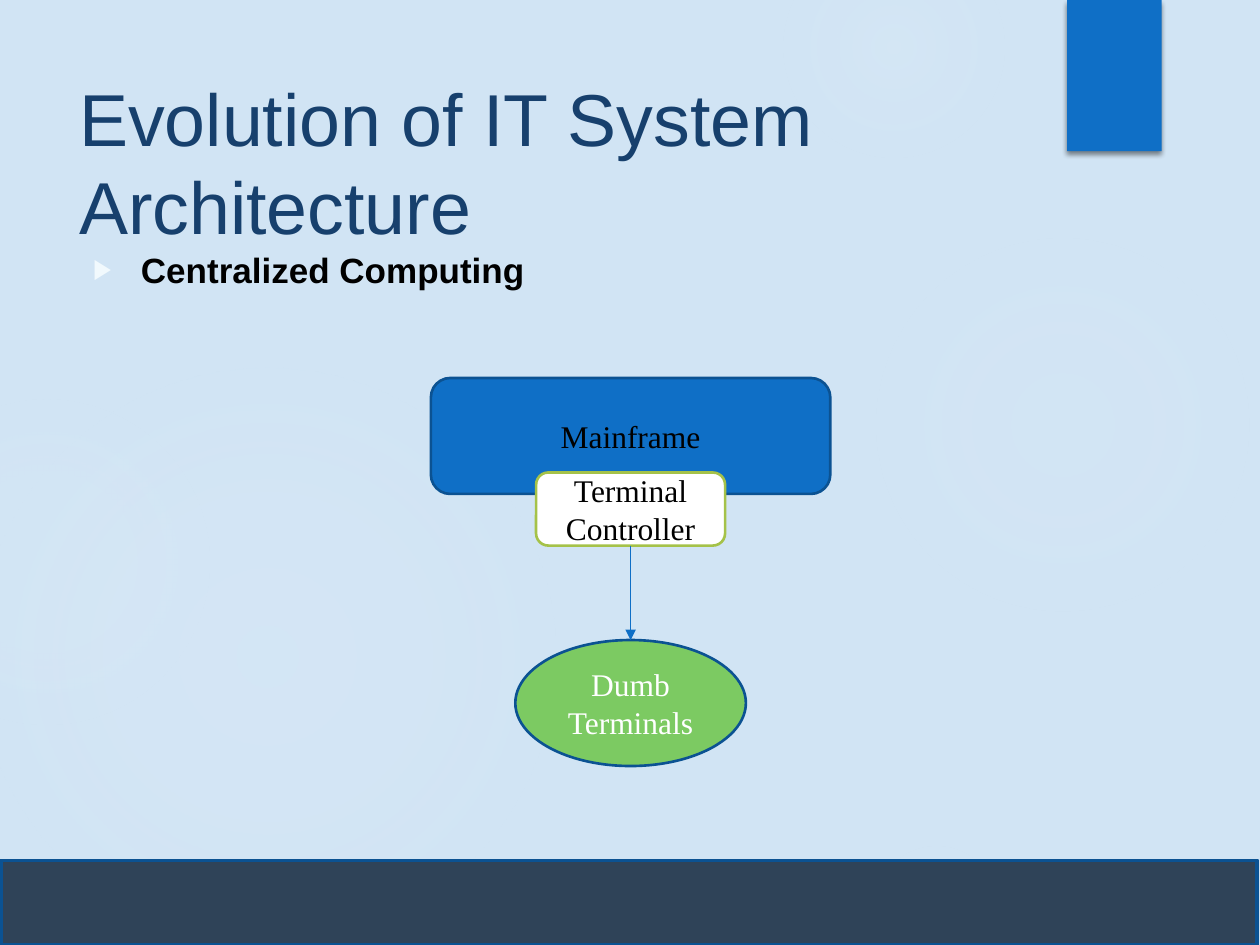
from dataclasses import dataclass

from lxml import etree
from pptx import Presentation
from pptx.dml.color import RGBColor
from pptx.enum.shapes import MSO_CONNECTOR, MSO_SHAPE
from pptx.enum.text import MSO_ANCHOR, PP_ALIGN
from pptx.oxml import parse_xml
from pptx.oxml.ns import nsdecls, qn
from pptx.util import Inches, Pt

RECT, ROUND, OVAL = MSO_SHAPE.RECTANGLE, MSO_SHAPE.ROUNDED_RECTANGLE, MSO_SHAPE.OVAL
STRAIGHT = MSO_CONNECTOR.STRAIGHT
TOP, MIDDLE, BOTTOM = MSO_ANCHOR.TOP, MSO_ANCHOR.MIDDLE, MSO_ANCHOR.BOTTOM
LEFT, CENTER = PP_ALIGN.LEFT, PP_ALIGN.CENTER


@dataclass(frozen=True)
class Theme:
    """Colours, fonts and type sizes of the slide."""

    page: str = "D1E4F4"
    blue: str = "0F6FC6"
    outline: str = "0B5292"
    bar: str = "0C2036"
    glow: str = "E9F5FB"
    title: str = "17406D"
    bullet: str = "F1F9FD"
    lime: str = "A5C249"
    green: str = "7CCA62"
    black: str = "000000"
    white: str = "FFFFFF"
    sans: str = "Arial"
    serif: str = "Times New Roman"
    title_size: int = 42
    body_size: int = 20
    label_size: int = 18


THEME = Theme()


def rgb(code):
    """Turn a hex code into a colour."""
    return RGBColor.from_string(code)


def add_xml(parent, markup):
    """Append DrawingML markup to an element."""
    parent.append(parse_xml(markup.replace(">", f" {nsdecls('a')}>", 1)))


def write(shape, text, size, font, colour, bold=False, align=LEFT, anchor=TOP):
    """Write one paragraph into a shape and return it."""
    frame = shape.text_frame
    para = frame.paragraphs[0]
    span = para.add_run()
    span.text = text
    span.font.color.rgb = rgb(colour)
    formats = (
        (frame, {"word_wrap": True, "vertical_anchor": anchor}),
        (para, {"alignment": align}),
        (span.font, {"size": Pt(size), "name": font, "bold": bold}),
    )
    for target, values in formats:
        for name, value in values.items():
            setattr(target, name, value)
    return para


def add_block(page, kind, box, fill, line=None, width=1.5):
    """Add a flat filled shape with an optional outline."""
    shape = page.shapes.add_shape(kind, *map(Inches, box))
    shape.shadow.inherit = False
    shape.fill.solid()
    shape.fill.fore_color.rgb = rgb(fill)
    if line:
        shape.line.color.rgb = rgb(line)
        shape.line.width = Pt(width)
    else:
        shape.line.fill.background()
    return shape


def add_glow(page, box, stops):
    """Add a circle that fades out from its centre."""
    shape = add_block(page, OVAL, box, THEME.glow)
    marks = "".join(
        f'<a:gs pos="{place * 1000}"><a:srgbClr val="{THEME.glow}">'
        f'<a:alpha val="{alpha * 1000}"/></a:srgbClr></a:gs>'
        for place, alpha in stops
    )
    solid = shape.fill.fore_color and shape.element.spPr.find(qn("a:solidFill"))
    gradient = parse_xml(
        f'<a:gradFill {nsdecls("a")}><a:gsLst>{marks}</a:gsLst><a:path path="circle">'
        '<a:fillToRect l="50000" t="50000" r="50000" b="50000"/></a:path></a:gradFill>'
    )
    shape.element.spPr.replace(solid, gradient)


def add_backdrop(page):
    """Paint the background, its glows, the ribbon and the bottom bar."""
    page.background.fill.solid()
    page.background.fill.fore_color.rgb = rgb(THEME.page)
    glows = (
        (6.89, 1.83, 3.08, 7, 6, 69),
        (6.22, -0.5, 1.75, 14, 7, 73),
        (6.89, 6.67, 1.08, 9, 5, 66),
        (-0.17, 2.92, 4.58, 11, 10, 75),
        (-0.92, 3.17, 2.58, 8, 8, 72),
    )
    for left, top, size, inner, middle, edge in glows:
        add_glow(page, (left, top, size, size), ((0, inner), (36, middle), (edge, 0)))
    ribbon = add_block(page, RECT, (8.47, 0, 0.75, 1.2), THEME.blue)
    effects = ribbon.element.spPr.find(qn("a:effectLst"))
    add_xml(
        effects,
        f'<a:outerShdw blurRad="{Pt(3)}" dist="{Pt(2)}" dir="5400000" rotWithShape="0">'
        f'<a:srgbClr val="{THEME.black}"><a:alpha val="45000"/></a:srgbClr></a:outerShdw>',
    )
    bar = add_block(page, RECT, (0.01, 6.83, 9.97, 0.67), THEME.bar, THEME.outline, 2.25)
    colour = bar.element.spPr.find(qn("a:solidFill")).find(qn("a:srgbClr"))
    etree.SubElement(colour, qn("a:alpha"), val="82000")


def add_heading(page, box, text):
    """Add the slide title."""
    title = page.shapes.add_textbox(*map(Inches, box))
    write(title, text, THEME.title_size, THEME.sans, THEME.title, anchor=BOTTOM)


def add_bullet(page, box, text):
    """Add the bulleted topic line."""
    body = page.shapes.add_textbox(*map(Inches, box))
    para = write(body, text, THEME.body_size, THEME.sans, THEME.black, bold=True)
    para.space_before = Pt(10)
    settings = para._p.get_or_add_pPr()
    settings.set("marL", str(Inches(0.38)))
    settings.set("indent", str(-Inches(0.38)))
    add_xml(settings, f'<a:buClr><a:srgbClr val="{THEME.bullet}"/></a:buClr>')
    for tag, name, value in (("buSzPct", "val", "80000"), ("buFont", "typeface", THEME.sans),
                             ("buChar", "char", "▶")):
        etree.SubElement(settings, qn(f"a:{tag}"), {name: value})


def add_arrow(page, start, end):
    """Add a thin arrow between two points."""
    arrow = page.shapes.add_connector(STRAIGHT, *map(Inches, (*start, *end)))
    arrow.line.color.rgb = rgb(THEME.blue)
    arrow.line.width = Pt(0.75)
    etree.SubElement(arrow.line._get_or_add_ln(), qn("a:tailEnd"), type="triangle")
    etree.SubElement(arrow.element.spPr, qn("a:effectLst"))


def add_diagram(page, box):
    """Stack the mainframe, its controller and the terminals on one axis."""
    left, top, width, height = box
    axis = left + width / 2
    nodes = (
        ("Mainframe", ROUND, 0, width, 0.92, THEME.blue, THEME.outline, THEME.black),
        ("Terminal Controller", ROUND, 0.75, 1.5, 0.58, THEME.white, THEME.lime, THEME.black),
        ("Dumb Terminals", OVAL, height - 1, 1.83, 1, THEME.green, THEME.outline, THEME.white),
    )
    for text, kind, drop, wide, tall, fill, line, colour in nodes:
        place = (axis - wide / 2, top + drop, wide, tall)
        node = add_block(page, kind, place, fill, line)
        write(node, text, THEME.label_size, THEME.serif, colour, align=CENTER, anchor=MIDDLE)
    add_arrow(page, (axis, top + 1.33), (axis, top + height - 1))


def main():
    """Build the slide and save the deck."""
    deck = Presentation()
    deck.slide_width, deck.slide_height = Inches(10), Inches(7.5)
    page = deck.slides.add_slide(deck.slide_layouts[6])
    add_backdrop(page)
    add_heading(page, (0.53, 0.5, 7.72, 1.53), "Evolution of IT System Architecture")
    add_bullet(page, (0.64, 1.92, 8.72, 4.5), "Centralized Computing")
    add_diagram(page, (3.42, 3, 3.17, 3.08))
    deck.save("out.pptx")


if __name__ == "__main__":
    main()
